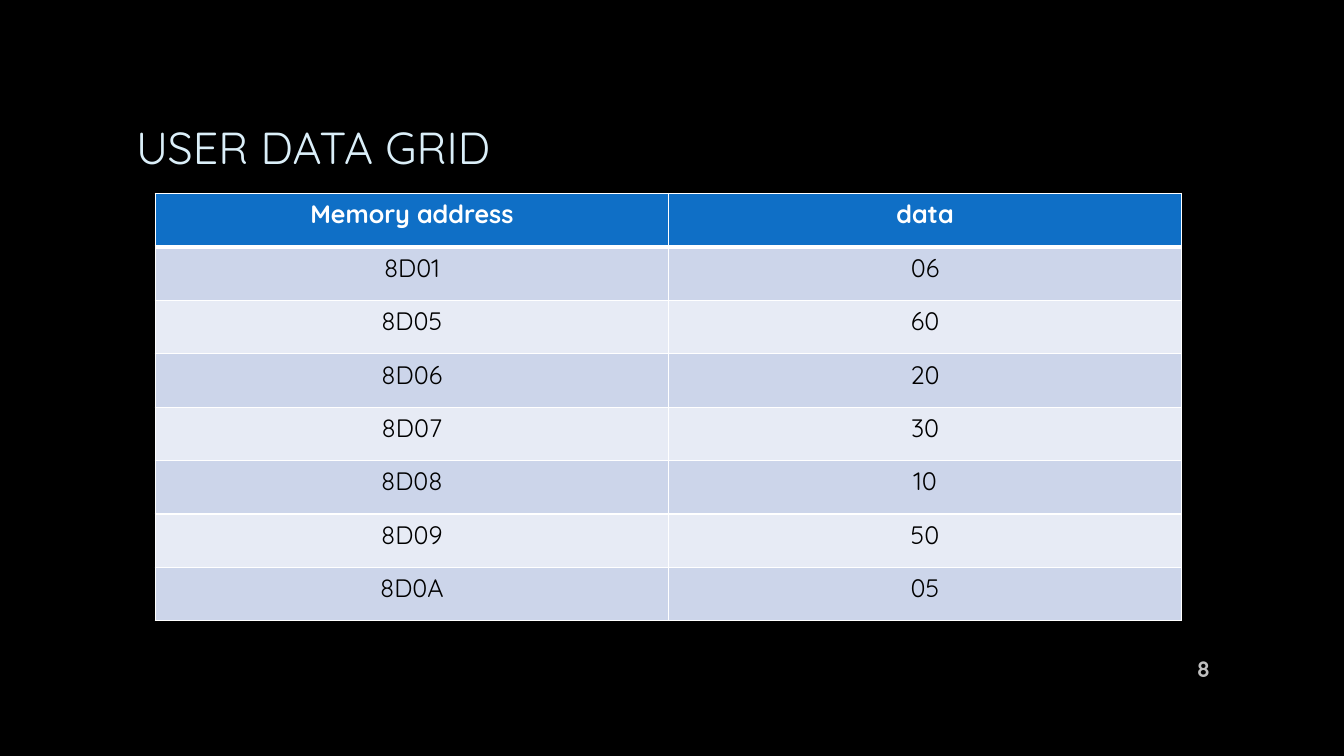
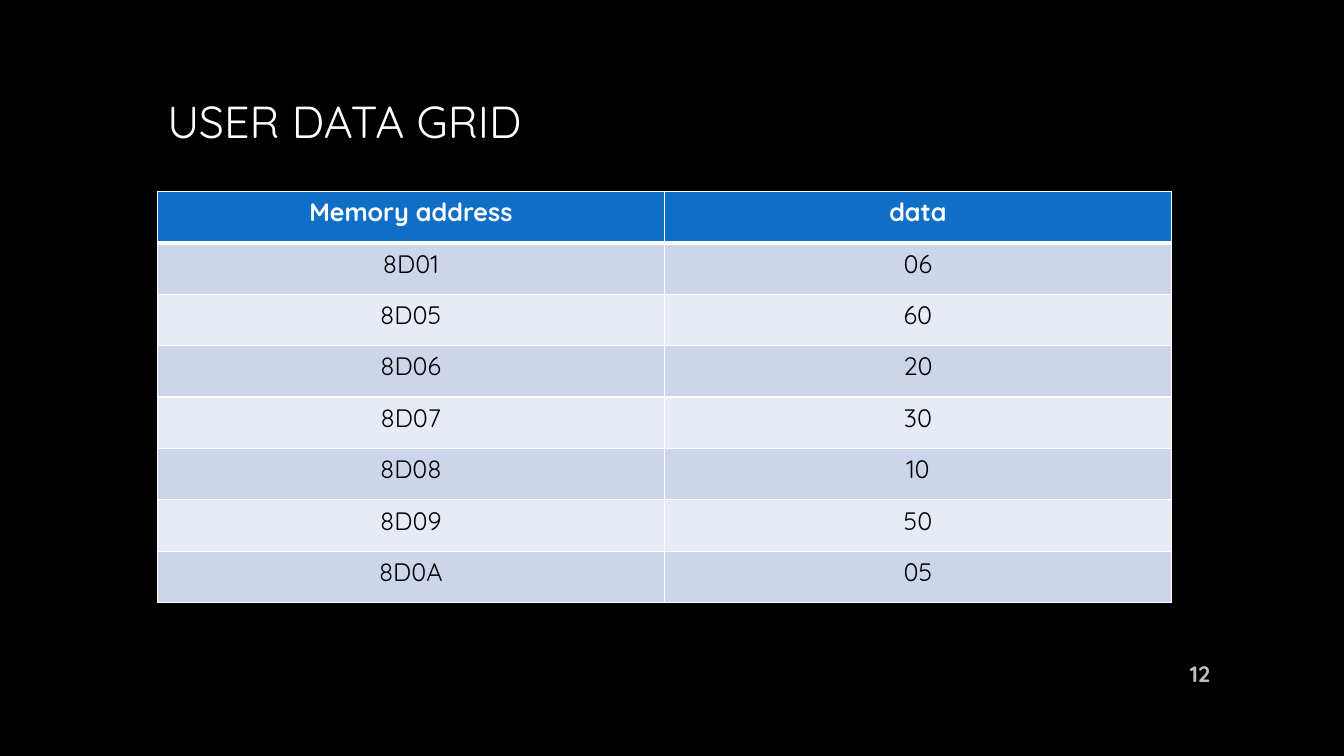
from lxml import etree
from pptx import Presentation
from pptx.dml.color import RGBColor
from pptx.enum.text import MSO_ANCHOR, PP_ALIGN
from pptx.oxml.ns import qn
from pptx.util import Inches, Pt

LEFT, CENTER, RIGHT = PP_ALIGN.LEFT, PP_ALIGN.CENTER, PP_ALIGN.RIGHT
MIDDLE = MSO_ANCHOR.MIDDLE
TITLE_ONLY = 5
FONT = "Quicksand"
COLORS = {
    "background": "000000",
    "ice": "DBEFF9",
    "white": "FFFFFF",
    "silver": "A6A6A6",
    "number": "BFBFBF",
    "header": "0F6FC6",
    "odd_row": "CCD5EA",
    "even_row": "E7EBF5",
    "text": "000000",
}
RULE, HEADER_RULE = 1, 3  # border widths in points

MEMORY = [
    ("Memory address", "data"),
    ("8D01", "06"),
    ("8D05", "60"),
    ("8D06", "20"),
    ("8D07", "30"),
    ("8D08", "10"),
    ("8D09", "50"),
    ("8D0A", "05"),
]

# Boxes are left, top, width, height in inches
SLIDES = [
    {"title_box": (1.25, 0.67, 10.83, 2.08), "title_bottom": 0.57,
     "title_colors": ["ice"], "table_at": (1.54, 1.92),
     "cell_size": (5.09, 0.53), "number": "8", "number_top": 6.43},
    {"title_box": (1.56, 0.31, 10.52, 1.77), "title_bottom": 0.05,
     "title_colors": ["white", "silver"], "table_at": (1.56, 1.9),
     "cell_size": (5.03, 0.51), "number": "12", "number_top": 6.48},
]


def write(frame, text, size, color, align, bold=False):
    """Write one formatted run and return its font."""
    paragraph = frame.paragraphs[0]
    paragraph.alignment = align
    run = paragraph.add_run()
    run.text = text
    run.font.name = FONT
    run.font.size = Pt(size)
    run.font.bold = bold
    run.font.color.rgb = RGBColor.from_string(COLORS[color])
    return run.font


def set_borders(cell, top, bottom):
    """Draw white borders; widths are in points."""
    properties = cell._tc.get_or_add_tcPr()
    sides = {"lnL": RULE, "lnR": RULE, "lnT": top, "lnB": bottom}
    for index, (side, width) in enumerate(sides.items()):
        line = etree.Element(qn(f"a:{side}"), w=str(Pt(width)))
        fill = etree.SubElement(line, qn("a:solidFill"))
        etree.SubElement(fill, qn("a:srgbClr"), val=COLORS["white"])
        properties.insert(index, line)


presentation = Presentation()
presentation.slide_width = Inches(13.33)
presentation.slide_height = Inches(7.5)

# Shared black background
background = presentation.slide_master.background.fill
background.solid()
background.fore_color.rgb = RGBColor.from_string(COLORS["background"])

for content in SLIDES:
    slide = presentation.slides.add_slide(presentation.slide_layouts[TITLE_ONLY])

    # Title
    title = slide.shapes.title
    title.left, title.top, title.width, title.height = map(Inches, content["title_box"])
    title.text_frame.vertical_anchor = MIDDLE
    title.text_frame.margin_bottom = Inches(content["title_bottom"])
    title_colors = content["title_colors"]
    font = write(title.text_frame, "USER DATA GRID", 32, title_colors[0], LEFT)
    if len(title_colors) > 1:
        font.fill.gradient()
        font.fill.gradient_angle = 267
        for stop, color in zip(font.fill.gradient_stops, title_colors):
            stop.color.rgb = RGBColor.from_string(COLORS[color])

    # Memory table
    left, top = map(Inches, content["table_at"])
    column_width, row_height = map(Inches, content["cell_size"])
    row_count, column_count = len(MEMORY), len(MEMORY[0])
    table = slide.shapes.add_table(
        row_count, column_count, left, top,
        column_width * column_count, row_height * row_count).table
    for row, values in enumerate(MEMORY):
        is_header = row == 0
        fill_color = "header" if is_header else "odd_row" if row % 2 else "even_row"
        for column, value in enumerate(values):
            cell = table.cell(row, column)
            cell.fill.solid()
            cell.fill.fore_color.rgb = RGBColor.from_string(COLORS[fill_color])
            set_borders(cell, HEADER_RULE if row == 1 else RULE,
                        HEADER_RULE if is_header else RULE)
            write(cell.text_frame, value, 18, "white" if is_header else "text",
                  CENTER, bold=is_header)

    # Slide number
    number_box = slide.shapes.add_textbox(
        Inches(11.5), Inches(content["number_top"]), Inches(0.6), Inches(0.4))
    number_box.text_frame.word_wrap = True
    number_box.text_frame.vertical_anchor = MIDDLE
    write(number_box.text_frame, content["number"], 16, "number", RIGHT, bold=True)

presentation.save("out.pptx")
